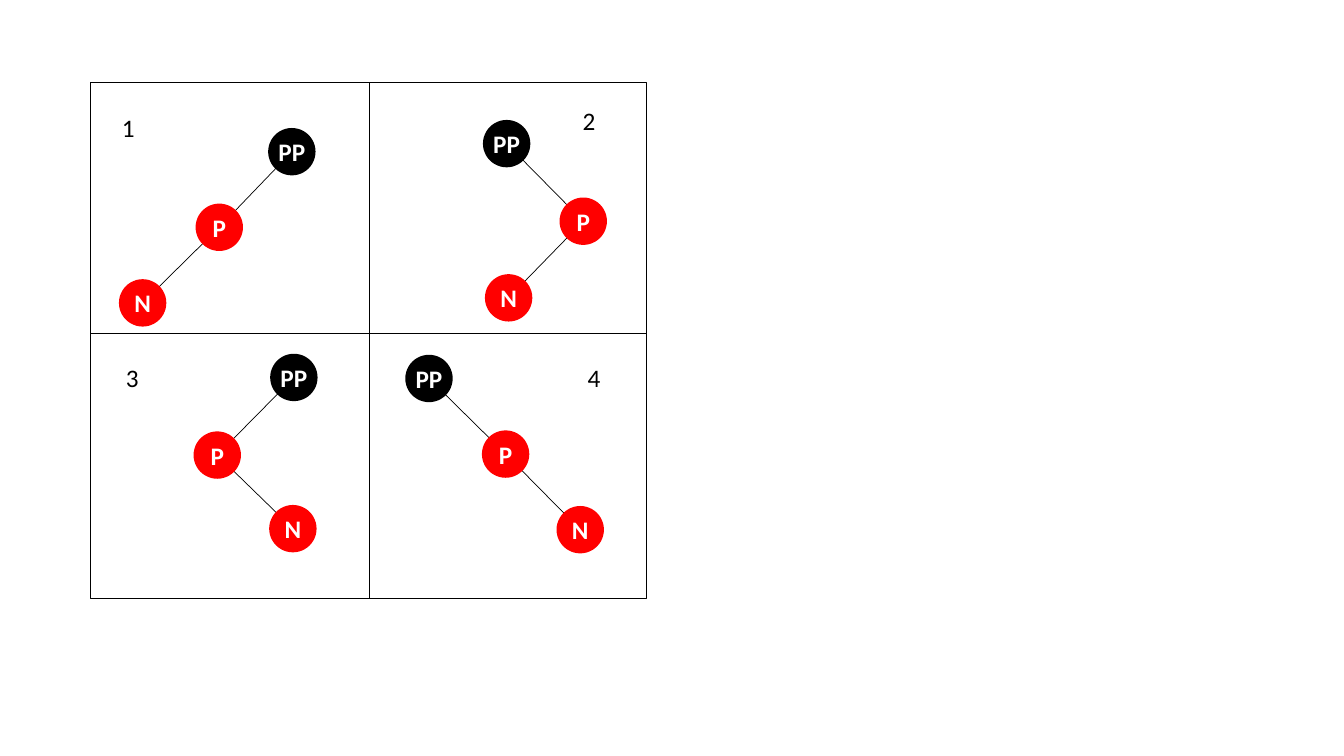
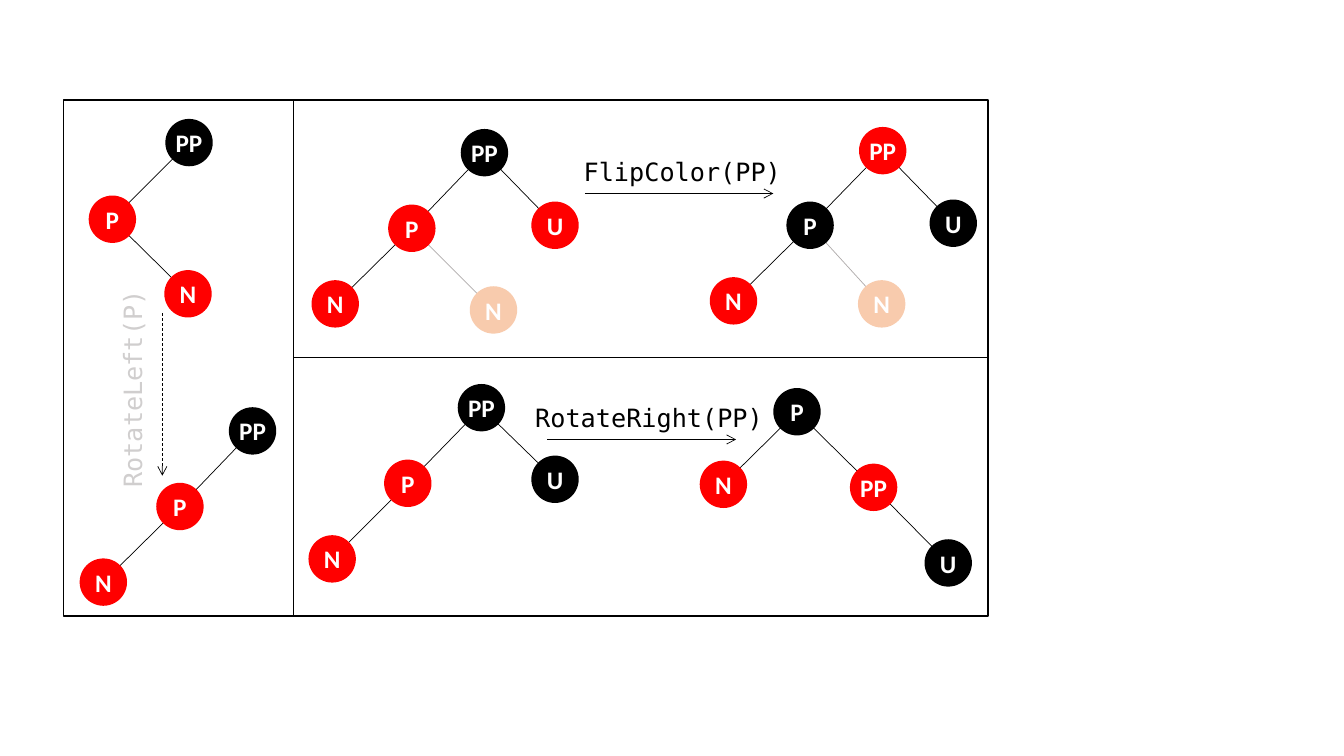
import pptx
import pptx.dml.color
import pptx.enum.dml
import pptx.enum.shapes
import pptx.enum.text
import pptx.oxml.ns
import pptx.util
from lxml import etree
from pptx.util import Inches

BLACK, RED, PEACH, WHITE = "000000", "FF0000", "F8CBAD", "FFFFFF"
PALE_EDGE, PALE_TEXT = "AFABAB", "D0CECE"
BODY_FONT, CODE_FONT = "Calibri", "DejaVu Sans Mono"
NODE_SIZE = 0.47

# Frame: left, top, width, height. Divider and arrow: x1, y1, x2, y2.
# Node: label, fill, left, top, label of its parent.
# Text: wording, left, top, width, height, format.
SLIDES = [
    {
        "frame": (0.9, 0.82, 5.51, 5.12),
        "dividers": [(0.9, 3.31, 6.41, 3.31), (3.66, 0.82, 3.66, 5.94)],
        "trees": [
            [("PP", BLACK, 2.66, 1.27, None),
             ("P", RED, 1.94, 2.02, "PP"),
             ("N", RED, 1.18, 2.77, "P")],
            [("PP", BLACK, 4.79, 1.19, None),
             ("P", RED, 5.55, 1.96, "PP"),
             ("N", RED, 4.81, 2.72, "P")],
            [("PP", BLACK, 2.68, 3.51, None),
             ("P", RED, 1.92, 4.28, "PP"),
             ("N", RED, 2.67, 5.01, "P")],
            [("PP", BLACK, 4.02, 3.52, None),
             ("P", RED, 4.78, 4.27, "PP"),
             ("N", RED, 5.52, 5.02, "P")],
        ],
        "arrows": [],
        "texts": [
            ("1", 1.11, 1.07, 0.39, 0.4, {}),
            ("2", 5.68, 1.0, 0.39, 0.4, {}),
            ("3", 1.15, 3.55, 0.39, 0.4, {}),
            ("4", 5.73, 3.55, 0.39, 0.4, {}),
        ],
    },
    {
        "frame": (0.63, 0.99, 9.17, 5.12),
        "dividers": [(2.91, 3.55, 9.8, 3.55), (2.91, 0.99, 2.91, 6.11)],
        "trees": [
            [("PP", BLACK, 1.64, 1.18, None),
             ("P", RED, 0.88, 1.94, "PP"),
             ("N", RED, 1.63, 2.68, "P")],
            [("PP", BLACK, 2.27, 4.04, None),
             ("P", RED, 1.55, 4.79, "PP"),
             ("N", RED, 0.79, 5.54, "P")],
            [("PP", BLACK, 4.57, 1.28, None),
             ("P", RED, 3.85, 2.03, "PP"),
             ("N", RED, 3.09, 2.78, "P"),
             ("N", PEACH, 4.66, 2.84, "P"),
             ("U", RED, 5.27, 2.0, "PP")],
            [("PP", RED, 8.52, 1.26, None),
             ("P", BLACK, 7.8, 2.0, "PP"),
             ("N", RED, 7.04, 2.75, "P"),
             ("N", PEACH, 8.51, 2.78, "P"),
             ("U", BLACK, 9.22, 1.98, "PP")],
            [("PP", BLACK, 4.54, 3.81, None),
             ("P", RED, 3.81, 4.56, "PP"),
             ("N", RED, 3.06, 5.31, "P"),
             ("U", BLACK, 5.27, 4.52, "PP")],
            [("P", BLACK, 7.67, 3.85, None),
             ("N", RED, 6.94, 4.57, "P"),
             ("PP", RED, 8.43, 4.6, "P"),
             ("U", BLACK, 9.17, 5.35, "PP")],
        ],
        "arrows": [
            ((5.8, 1.92, 7.67, 1.92), {}),
            ((5.43, 4.36, 7.3, 4.36), {}),
            ((1.61, 3.11, 1.61, 4.72), {"dashed": True}),
        ],
        "texts": [
            ("FlipColor(PP)", 5.69, 1.57, 2.19, 0.36, {"code": True}),
            ("RotateRight(PP)", 5.21, 4.01, 2.48, 0.36, {"code": True}),
            ("RotateLeft(P)", 0.26, 3.66, 2.19, 0.36,
             {"code": True, "color": PALE_TEXT, "rotation": 270}),
        ],
    },
]


def rgb(color):
    return pptx.dml.color.RGBColor.from_string(color)


def write(shape, text, color=BLACK, font=BODY_FONT, bold=False, centered=False,
          middle=False, line_spacing=None):
    frame = shape.text_frame
    if middle:
        frame.vertical_anchor = pptx.enum.text.MSO_ANCHOR.MIDDLE
    para = frame.paragraphs[0]
    para.alignment = (pptx.enum.text.PP_ALIGN.CENTER if centered
                      else pptx.enum.text.PP_ALIGN.LEFT)
    if line_spacing:
        para.line_spacing = pptx.util.Pt(line_spacing)
    span = para.add_run()
    span.text = text
    span.font.size = pptx.util.Pt(18)
    span.font.name = font
    span.font.bold = bold
    span.font.color.rgb = rgb(color)


def add_line(page, ends, color=BLACK, arrow=False, dashed=False):
    line = page.shapes.add_connector(
        pptx.enum.shapes.MSO_CONNECTOR.STRAIGHT, *map(Inches, ends))
    line.line.color.rgb = rgb(color)
    line.line.width = pptx.util.Pt(0.5)
    if dashed:
        line.line.dash_style = pptx.enum.dml.MSO_LINE.DASH
    qn = pptx.oxml.ns.qn
    if arrow:
        etree.SubElement(line.line._get_or_add_ln(), qn("a:tailEnd"), type="arrow")
    etree.SubElement(line._element.spPr, qn("a:effectLst"))


def add_frame(page, bounds):
    frame = page.shapes.add_shape(
        pptx.enum.shapes.MSO_SHAPE.RECTANGLE, *map(Inches, bounds))
    frame.shadow.inherit = False
    frame.fill.background()
    frame.line.color.rgb = rgb(BLACK)
    frame.line.width = pptx.util.Pt(1)


def add_node(page, label, fill, left, top):
    node = page.shapes.add_shape(
        pptx.enum.shapes.MSO_SHAPE.OVAL,
        *map(Inches, (left, top, NODE_SIZE, NODE_SIZE)))
    node.shadow.inherit = False
    node.fill.solid()
    node.fill.fore_color.rgb = rgb(fill)
    node.line.fill.background()
    frame = node.text_frame
    frame.margin_left = frame.margin_right = 0
    frame.margin_top = frame.margin_bottom = 0
    frame.word_wrap = False
    write(node, label, color=WHITE, bold=True, centered=True, middle=True)


def add_tree(page, nodes):
    """Draw the edges between node centres, then the nodes over them."""
    centers = {}
    for label, fill, left, top, parent in nodes:
        center = (left + NODE_SIZE / 2, top + NODE_SIZE / 2)
        if parent:
            add_line(page, centers[parent] + center,
                     color=PALE_EDGE if fill == PEACH else BLACK)
        centers[label] = center
    for label, fill, left, top, _ in nodes:
        add_node(page, label, fill, left, top)


def add_text(page, text, *bounds, code=False, color=BLACK, rotation=0):
    box = page.shapes.add_textbox(*map(Inches, bounds))
    box.rotation = rotation
    box.text_frame.word_wrap = True
    code_format = {"font": CODE_FONT, "middle": True, "line_spacing": 15}
    write(box, text, color=color, **(code_format if code else {}))


def build_page(deck, content):
    page = deck.slides.add_slide(deck.slide_layouts[6])
    add_frame(page, content["frame"])
    for ends in content["dividers"]:
        add_line(page, ends)
    for nodes in content["trees"]:
        add_tree(page, nodes)
    for ends, style in content["arrows"]:
        add_line(page, ends, arrow=True, **style)
    for *text_and_bounds, style in content["texts"]:
        add_text(page, *text_and_bounds, **style)


def main():
    deck = pptx.Presentation()
    deck.slide_width, deck.slide_height = Inches(13.33), Inches(7.5)
    for content in SLIDES:
        build_page(deck, content)
    deck.save("out.pptx")


if __name__ == "__main__":
    main()
